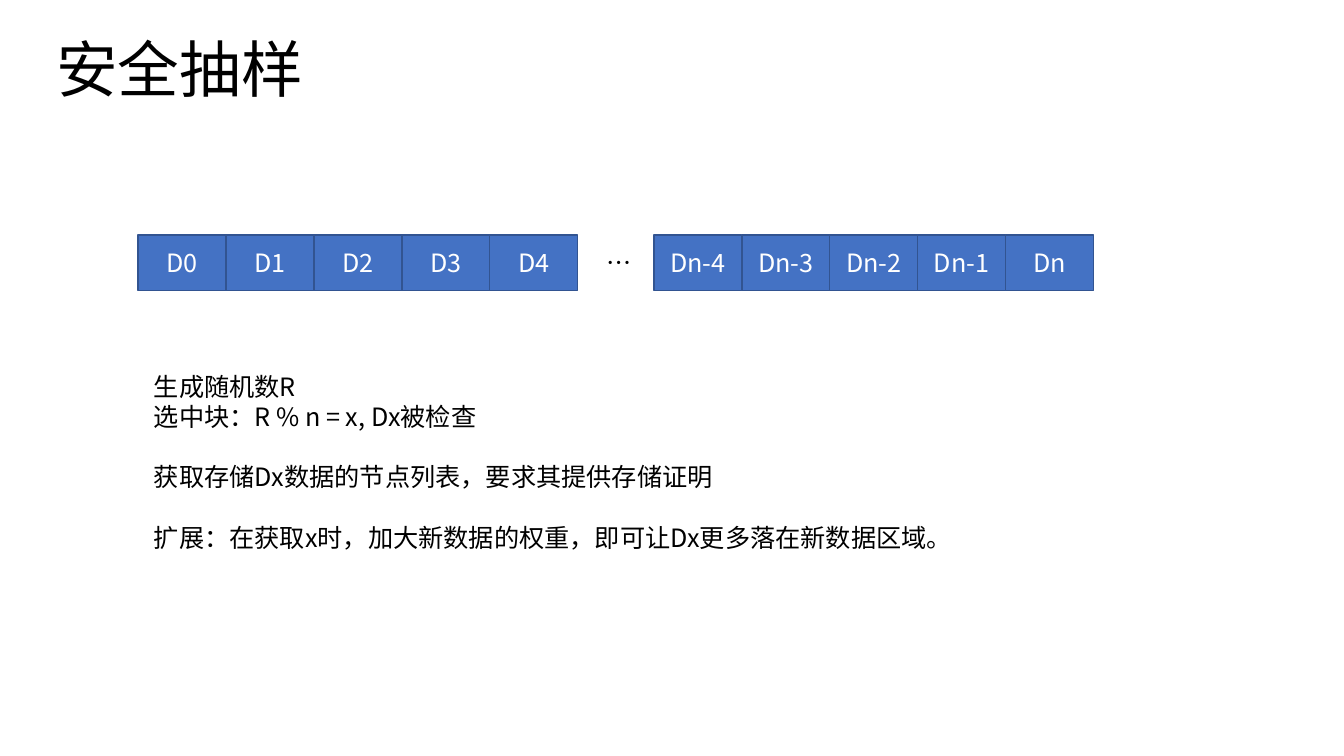
from dataclasses import dataclass

from lxml.etree import SubElement
from pptx import Presentation
from pptx.dml.color import RGBColor
from pptx.enum.shapes import MSO_SHAPE
from pptx.enum.text import MSO_ANCHOR, PP_ALIGN
from pptx.oxml.ns import qn
from pptx.shapes.autoshape import Shape
from pptx.slide import Slide
from pptx.util import Cm, Pt

BLUE = RGBColor(0x44, 0x72, 0xC4)
DARK_BLUE = RGBColor(0x32, 0x54, 0x91)
WHITE = RGBColor(0xFF, 0xFF, 0xFF)
BLACK = RGBColor(0x00, 0x00, 0x00)
FONT = "Noto Sans CJK SC"

BLOCK_TOP, BLOCK_WIDTH, BLOCK_HEIGHT = 5.92, 2.216, 1.4
BODY_FORMAT = {"size": Pt(18)}
TITLE_FORMAT = {"size": Pt(44)}


@dataclass(frozen=True)
class Line:
    """One paragraph, with its spacing format."""
    text: str
    spacing: dict


@dataclass(frozen=True)
class TextBlock:
    """A text box: place in centimetres, lines and formats."""
    left: float
    top: float
    width: float
    height: float
    lines: tuple[Line, ...]
    font: dict
    anchor: MSO_ANCHOR = MSO_ANCHOR.TOP


@dataclass(frozen=True)
class BlockRow:
    """A run of adjoining data blocks."""
    left: float
    labels: tuple[str, ...]


SECTION_GAP = {"space_before": Pt(21.7)}
ROWS = (
    BlockRow(3.48, ("D0", "D1", "D2", "D3", "D4")),
    BlockRow(16.48, ("Dn-4", "Dn-3", "Dn-2", "Dn-1", "Dn")),
)
TEXTS = (
    TextBlock(15.04, 6.12, 0.97, 1.02, (Line("…", {}),), BODY_FORMAT),
    TextBlock(3.63, 9.22, 21.4, 4.88, (
        Line("生成随机数R", {}),
        Line("选中块：R % n = x, Dx被检查", {}),
        Line("获取存储Dx数据的节点列表，要求其提供存储证明", SECTION_GAP),
        Line("扩展：在获取x时，加大新数据的权重，即可让Dx更多落在新数据区域。", SECTION_GAP),
    ), BODY_FORMAT),
    TextBlock(1.17, 0, 29.21, 3.68, (Line("安全抽样", {"line_spacing": 0.9}),),
              TITLE_FORMAT, MSO_ANCHOR.MIDDLE),
)


def apply_format(target: object, values: dict) -> None:
    """Set each named attribute on the target."""
    for name, value in values.items():
        setattr(target, name, value)


def write_lines(box: Shape, lines: tuple[Line, ...], font: dict, color: RGBColor) -> None:
    """Write one paragraph per line into the box."""
    frame = box.text_frame
    for index, line in enumerate(lines):
        para = frame.add_paragraph() if index else frame.paragraphs[0]
        apply_format(para, line.spacing)
        span = para.add_run()
        span.text = line.text
        apply_format(span.font, {"name": FONT, **font})
        span.font.color.rgb = color
        properties = span._r.get_or_add_rPr()
        properties.set("lang", "zh-CN")
        SubElement(properties, qn("a:ea"), typeface=FONT)


def draw_row(page: Slide, row: BlockRow) -> None:
    """Draw the labelled data blocks side by side."""
    for index, label in enumerate(row.labels):
        box = page.shapes.add_shape(
            MSO_SHAPE.RECTANGLE, Cm(row.left + index * BLOCK_WIDTH), Cm(BLOCK_TOP),
            Cm(BLOCK_WIDTH), Cm(BLOCK_HEIGHT))
        box.shadow.inherit = False
        box.fill.solid()
        box.fill.fore_color.rgb = BLUE
        box.line.color.rgb = DARK_BLUE
        box.line.width = Pt(1)
        box.text_frame.vertical_anchor = MSO_ANCHOR.MIDDLE
        write_lines(box, (Line(label, {"alignment": PP_ALIGN.CENTER}),), BODY_FORMAT, WHITE)


def draw_text(page: Slide, block: TextBlock) -> None:
    """Draw a plain text box."""
    box = page.shapes.add_textbox(
        Cm(block.left), Cm(block.top), Cm(block.width), Cm(block.height))
    apply_format(box.text_frame, {"word_wrap": True, "vertical_anchor": block.anchor})
    write_lines(box, block.lines, block.font, BLACK)


def main() -> None:
    """Build and save the deck."""
    deck = Presentation()
    apply_format(deck, {"slide_width": Cm(33.87), "slide_height": Cm(19.05)})
    page = deck.slides.add_slide(deck.slide_layouts[6])
    for row in ROWS:
        draw_row(page, row)
    for block in TEXTS:
        draw_text(page, block)
    deck.save("out.pptx")


main()
